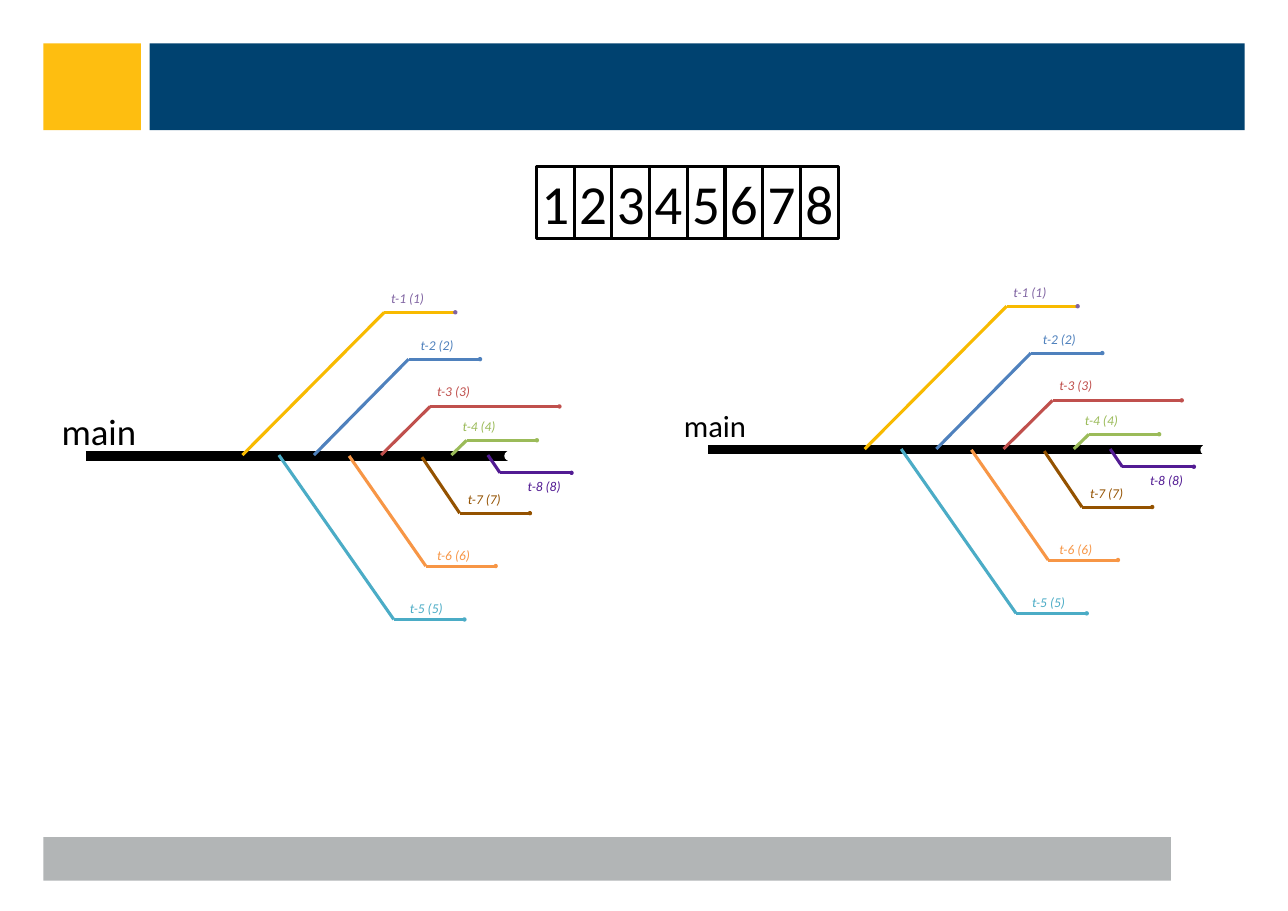
from pptx import Presentation
from pptx.dml.color import RGBColor
from pptx.enum import shapes, text
from pptx.oxml.ns import qn
from pptx.util import Cm, Pt
from lxml import etree

BLACK = RGBColor(0x00, 0x00, 0x00)
WHITE = RGBColor(0xFF, 0xFF, 0xFF)
YELLOW = RGBColor(0xFE, 0xBE, 0x10)
NAVY = RGBColor(0x00, 0x42, 0x70)
GREY = RGBColor(0xB2, 0xB5, 0xB6)
GOLD = RGBColor(0xF8, 0xBA, 0x00)
PURPLE = RGBColor(0x80, 0x64, 0xA2)
BLUE = RGBColor(0x4F, 0x81, 0xBD)
RED = RGBColor(0xC0, 0x50, 0x4D)
GREEN = RGBColor(0x9B, 0xBB, 0x59)
TEAL = RGBColor(0x4B, 0xAC, 0xC6)
ORANGE = RGBColor(0xF7, 0x96, 0x46)
BROWN = RGBColor(0x94, 0x52, 0x00)
VIOLET = RGBColor(0x52, 0x1B, 0x93)

deck = Presentation()
deck.slide_width, deck.slide_height = Cm(29.7), Cm(21)
page = deck.slides.add_slide(deck.slide_layouts[6])


def add_box(left, top, width, height, kind="RECTANGLE", fill=None, line=None,
            words="", size=18, color=BLACK, italic=False, wrap=True, centred=False):
    """Add a shape, or a text box when kind is None; lengths are in centimetres."""
    area = Cm(left), Cm(top), Cm(width), Cm(height)
    if kind is None:
        box = page.shapes.add_textbox(*area)
    else:
        box = page.shapes.add_shape(shapes.MSO_SHAPE[kind], *area)
        box.shadow.inherit = False
    if fill is None:
        box.fill.background()
    else:
        box.fill.solid()
        box.fill.fore_color.rgb = fill
    if line is None:
        box.line.fill.background()
    else:
        box.line.color.rgb = line
        box.line.width = Pt(2)
    if words:
        frame = box.text_frame
        frame.word_wrap = wrap
        frame.auto_size = text.MSO_AUTO_SIZE.SHAPE_TO_FIT_TEXT
        frame.vertical_anchor = text.MSO_ANCHOR.MIDDLE
        frame.margin_left = frame.margin_right = Cm(0.05)
        frame.margin_top = frame.margin_bottom = Cm(0.05)
        para = frame.paragraphs[0]
        para.alignment = text.PP_ALIGN.CENTER if centred else text.PP_ALIGN.LEFT
        span = para.add_run()
        span.text = words
        span.font.name, span.font.size = "Calibri", Pt(size)
        span.font.italic, span.font.color.rgb = italic, color


def add_line(x1, y1, x2, y2, color, width=2):
    line = page.shapes.add_connector(
        shapes.MSO_CONNECTOR.STRAIGHT, Cm(x1), Cm(y1), Cm(x2), Cm(y2))
    line.line.color.rgb = color
    line.line.width = Pt(width)
    etree.SubElement(line._element.spPr, qn("a:effectLst"))


# Page frame
add_box(1, 1, 2.25, 2, fill=YELLOW)
add_box(3.45, 1, 25.25, 2, fill=NAVY)
add_box(1, 19.3, 26, 1, fill=GREY)

# Array of numbers
CELL = 0.87
for index in range(8):
    add_box(12.37 + index * CELL, 3.83, CELL, 1.68, line=BLACK,
            words=str(index + 1), size=36, centred=True)

# Threads: number, line colour, label colour, start, bend, end x, label left and top
threads = [
    (1, GOLD, PURPLE, 5.59, 10.49, 8.86, 7.2, 10.5, 8.97, 6.63),
    (2, BLUE, BLUE, 7.24, 10.49, 9.42, 8.28, 11.07, 9.65, 7.7),
    (3, RED, RED, 8.79, 10.49, 9.92, 9.37, 12.9, 10.03, 8.76),
    (4, GREEN, GREEN, 10.41, 10.49, 10.76, 10.15, 12.38, 10.62, 9.58),
    (8, VIOLET, VIOLET, 11.25, 10.49, 11.53, 10.9, 13.18, 12.12, 10.95),
    (7, BROWN, BROWN, 9.73, 10.54, 10.6, 11.83, 12.22, 10.74, 11.25),
    (6, ORANGE, ORANGE, 8.05, 10.51, 9.82, 13.05, 11.43, 10.03, 12.55),
    (5, TEAL, TEAL, 6.43, 10.49, 9.08, 14.28, 10.71, 9.4, 13.77),
]
DOT = 0.1

# Diagrams: shift right, shift down, end of the main bar, size and box of "main"
diagrams = [
    (0, 0, 11.71, 24, 9.35, 1.85, 1.14),
    (15.82 - 1.47, -0.14, 13.41, 20, 9.44, 1.57, 0.99),
]
for right, down, bar_end, size, main_top, main_width, main_height in diagrams:
    add_line(right + 1.98, down + 10.51, right + bar_end, down + 10.51, BLACK, 6)
    add_box(right + bar_end - 0.08, down + 10.39, 0.24, 0.24, "OVAL", fill=WHITE)
    add_box(right + 1.37, down + main_top, main_width, main_height, None,
            words="main", size=size, wrap=False)
    for (number, color, label_color, start_x, start_y, bend_x, bend_y, end_x,
         label_x, label_y) in threads:
        bend = right + bend_x, down + bend_y
        end = right + end_x, down + bend_y
        add_line(right + start_x, down + start_y, *bend, color)
        add_line(*bend, *end, color)
        add_box(end[0] - DOT / 2, end[1] - DOT / 2, DOT, DOT, "OVAL", fill=label_color)
        add_box(right + label_x, down + label_y, 0.91, 0.5, None,
                words=f"t-{number} ({number})", size=8.8, color=label_color,
                italic=True, wrap=False)

deck.save("out.pptx")
